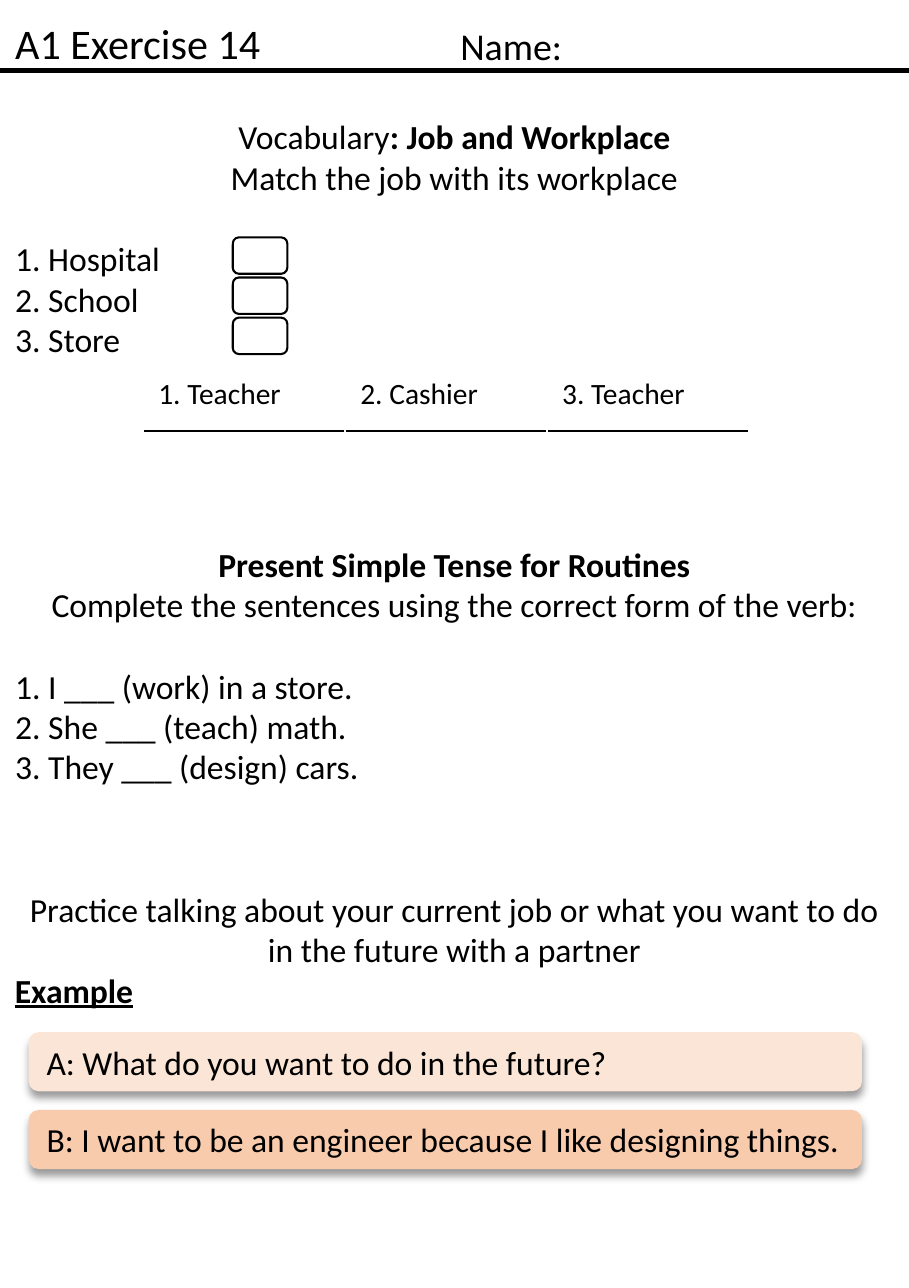
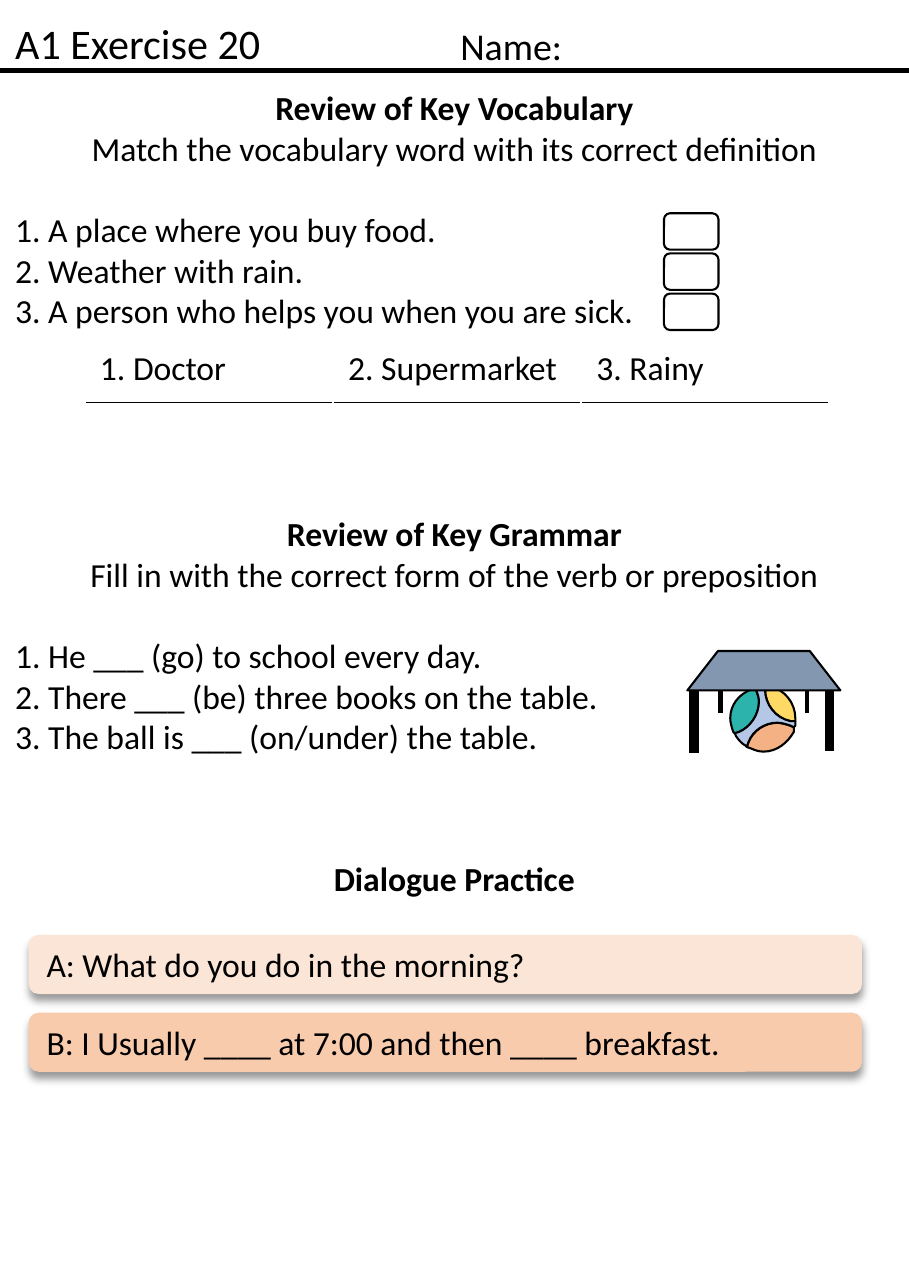
from lxml import etree
from pptx import Presentation
from pptx.dml.color import RGBColor
from pptx.enum.shapes import MSO_CONNECTOR, MSO_SHAPE
from pptx.enum.text import MSO_ANCHOR, MSO_AUTO_SIZE, PP_ALIGN
from pptx.oxml.ns import qn
from pptx.util import Inches, Pt

LEFT, CENTER = PP_ALIGN.LEFT, PP_ALIGN.CENTER
TOP, MIDDLE = MSO_ANCHOR.TOP, MSO_ANCHOR.MIDDLE
FIXED = MSO_AUTO_SIZE.NONE
ROUNDED = MSO_SHAPE.ROUNDED_RECTANGLE
TABLETOP = MSO_SHAPE.FLOWCHART_MANUAL_OPERATION
STRAIGHT = MSO_CONNECTOR.STRAIGHT

COLUMNS, ROWS = 60, 85
CELL = Inches(0.1)
BLACK, WHITE = "000000", "FFFFFF"
PEACH, APRICOT = "FBE5D6", "F8CBAD"
SLATE = "8497B0"
BODY_SIZE = 16
BLANK_LINE = 19.53
BOLD = {"bold": True}
EXAMPLE = {"bold": True, "underline": True}

BALL_PANELS = [
    ("FFD966", (23, 0), [(26, 0), (36, 2, 43, 11, 43, 21), (43, 23), (40, 23),
                         (30, 21, 23, 12, 23, 2)]),
    ("2CB4AC", (16, 1), [(17, 2), (18, 5, 19, 7, 19, 10), (19, 19, 13, 27, 6, 30),
                         (3, 31), (2, 30), (1, 27, 0, 24, 0, 21),
                         (0, 12, 6, 5, 14, 2)]),
    ("F4B183", (31, 24), [(34, 24, 37, 25, 40, 26), (42, 27), (42, 30),
                          (38, 37, 31, 43, 22, 43), (19, 43, 16, 42, 14, 41),
                          (11, 40), (12, 37), (15, 29, 23, 24, 31, 24)]),
    ("B4C7E7", (22, 0), [(23, 0), (23, 2), (23, 12, 30, 21, 40, 23), (43, 23),
                         (43, 26), (42, 27), (40, 26), (37, 25, 34, 24, 31, 24),
                         (23, 24, 15, 29, 12, 37), (11, 40), (10, 39),
                         (8, 38, 6, 36, 4, 33), (3, 31), (6, 30),
                         (13, 27, 19, 19, 19, 10), (19, 7, 18, 5, 17, 2),
                         (16, 1), (18, 0), (19, 0, 20, 0, 22, 0)]),
]

WORKSHEETS = [
    {
        "title": "A1 Exercise 14",
        "vocabulary": (6.95, [("Vocabulary", {}), (": Job and Workplace", BOLD)],
                       "Match the job with its workplace",
                       ["1. Hospital", "2. School", "3. Store"]),
        "answers": (15.37, 15.67),
        "words": ((9.45, 24.37, 40, 4.1), 14,
                  ["1. Teacher", "2. Cashier", "3. Teacher"]),
        "grammar": (35.15, [("Present Simple Tense for Routines", BOLD)],
                    "Complete the sentences using the correct form of the verb:",
                    ["1. I ___ (work) in a store.", "2. She ___ (teach) math.",
                     "3. They ___ (design) cars."]),
        "prompt": ((0, 57.1, COLUMNS, 8.4), 1.56, [
            ([("Practice talking about your current job or what you want to do "
               "in the future with a partner", {})], CENTER, 0),
            ([("Example", EXAMPLE)], LEFT, 0)]),
        "dialogue": (68.12, ["A: What do you want to do in the future?",
                             "B: I want to be an engineer because I like designing things."]),
    },
    {
        "title": "A1 Exercise 20",
        "vocabulary": (5.03, [("Review of Key Vocabulary", BOLD)],
                       "Match the vocabulary word with its correct definition",
                       ["1. A place where you buy food.", "2. Weather with rain.",
                        "3. A person who helps you when you are sick."]),
        "answers": (43.83, 14.08),
        "words": ((5.6, 22.46, 49.15, 4.1), BODY_SIZE,
                  ["1. Doctor", "2. Supermarket", "3. Rainy"]),
        "grammar": (33.15, [("Review of Key Grammar", BOLD)],
                    "Fill in with the correct form of the verb or preposition",
                    ["1. He ___ (go) to school every day.",
                     "2. There ___ (be) three books on the table.",
                     "3. The ball is ___ (on/under) the table."]),
        "prompt": ((0, 55.3, COLUMNS, 5.2), 1.3,
                   [([("Dialogue Practice", BOLD)], CENTER, 0)]),
        "dialogue": (61.7, ["A: What do you do in the morning?",
                            "B: I Usually ____ at 7:00 and then ____ breakfast."]),
    },
]


def color(code):
    return RGBColor.from_string(code)


def grid(*cells):
    return [round(cell * CELL) for cell in cells]


def apply(target, formats):
    for name, value in formats.items():
        setattr(target, name, value)


def move(placeholder, box):
    apply(placeholder, dict(zip(("left", "top", "width", "height"), grid(*box))))
    return placeholder


def write(frame, paragraphs, size=BODY_SIZE, anchor=MIDDLE):
    apply(frame, {"word_wrap": True, "auto_size": FIXED, "vertical_anchor": anchor})
    fill_paragraphs(frame, paragraphs, size)


def fill_paragraphs(frame, paragraphs, size):
    for index, (runs, alignment, before) in enumerate(paragraphs):
        paragraph = frame.add_paragraph() if index else frame.paragraphs[0]
        properties = paragraph._p.get_or_add_pPr()
        properties.set("marL", "0")
        properties.set("indent", "0")
        etree.SubElement(properties, qn("a:buNone"))
        apply(paragraph, {"alignment": alignment, "space_before": Pt(before)})
        for text, formats in runs:
            run = paragraph.add_run()
            run.text = text
            apply(run.font, {"name": "Calibri", "size": Pt(size), "bold": False, **formats})
            run.font.color.rgb = color(BLACK)


def plain(text):
    return [([(text, {})], LEFT, 0)]


def paint(shape, fill, outline=None):
    shape.shadow.inherit = False
    shape.fill.solid()
    shape.fill.fore_color.rgb = color(fill)
    if outline:
        shape.line.color.rgb = color(outline)
        shape.line.width = Pt(1)
    else:
        shape.line.fill.background()
    return shape


def rule(parent, start, end, weight):
    line = parent.shapes.add_connector(STRAIGHT, *grid(*start, *end))
    line.line.color.rgb = color(BLACK)
    line.line.width = Pt(weight)
    etree.SubElement(line._element.spPr, qn("a:effectLst"))


def header(slide, title):
    write(move(slide.shapes.title, (0, 0, COLUMNS, 5.6)).text_frame, plain(title), 20)
    name = slide.shapes.add_textbox(*grid(29.4, 1, 30, 4))
    write(name.text_frame, plain("Name:"), 18, TOP)
    rule(slide, (0, 4.64), (COLUMNS, 4.64), 2.25)


def exercise(placeholder, top, heading, instruction, items):
    paragraphs = [(heading, CENTER, 0), ([(instruction, {})], CENTER, 0)]
    for index, item in enumerate(items):
        paragraphs.append(([(item, {})], LEFT, 0 if index else BLANK_LINE))
    write(move(placeholder, (0, top, COLUMNS, 17.5)).text_frame, paragraphs)


def answer_boxes(slide, left, top, count=3):
    for row in range(count):
        box = grid(left, top + row * 2.65, 3.6, 2.4)
        paint(slide.shapes.add_shape(ROUNDED, *box), WHITE, BLACK)


def border(cell, side, code):
    line = etree.SubElement(cell._tc.get_or_add_tcPr(), qn(f"a:ln{side}"), w=str(Pt(1)))
    fill = etree.SubElement(line, qn("a:solidFill"))
    etree.SubElement(fill, qn("a:srgbClr"), val=code)


def word_bank(slide, box, size, words):
    table = slide.shapes.add_table(1, len(words), *grid(*box)).table
    apply(table, {"first_row": False, "horz_banding": False})
    for cell, word in zip(table.rows[0].cells, words):
        for side, code in zip("LRTB", (WHITE, WHITE, WHITE, BLACK)):
            border(cell, side, code)
        cell.fill.solid()
        cell.fill.fore_color.rgb = color(WHITE)
        fill_paragraphs(cell.text_frame, plain(word), size)


def prompt(slide, box, lead, paragraphs):
    frame = slide.shapes.add_textbox(*grid(*box)).text_frame
    write(frame, paragraphs, anchor=TOP)
    frame.margin_top = round(lead * CELL)


def cast_shadow(shape):
    effects = shape._element.spPr.find(qn("a:effectLst"))
    shadow = etree.SubElement(effects, qn("a:outerShdw"), blurRad=str(Pt(4)),
                              dist=str(Pt(3)), dir="5400000", algn="t", rotWithShape="0")
    tone = etree.SubElement(shadow, qn("a:srgbClr"), val=BLACK)
    etree.SubElement(tone, qn("a:alpha"), val="40000")


def dialogue(slide, top, lines):
    for row, (line, fill) in enumerate(zip(lines, (PEACH, APRICOT))):
        box = grid(1.9, top + row * 5.13, 55, 3.9)
        bubble = paint(slide.shapes.add_shape(ROUNDED, *box), fill)
        cast_shadow(bubble)
        write(bubble.text_frame, plain(line))


def bend(panel, segments):
    edges = list(panel._element.iter(qn("a:lnTo")))
    for edge, segment in zip(edges, segments):
        if len(segment) == 1:
            continue
        curve = etree.Element(qn("a:cubicBezTo"))
        for x, y in segment:
            etree.SubElement(curve, qn("a:pt"), x=str(x - panel.left), y=str(y - panel.top))
        edge.getparent().replace(edge, curve)


def ball(slide, left, top):
    group = slide.shapes.add_group_shape()
    for fill, start, segments in BALL_PANELS:
        first, *edges = [[grid(left + x / 10, top + y / 10)
                          for x, y in zip(values[::2], values[1::2])]
                         for values in (start, *segments)]
        outline = group.shapes.build_freeform(*first[0])
        outline.add_line_segments([edge[-1] for edge in edges], close=True)
        panel = paint(outline.convert_to_shape(), fill, BLACK)
        bend(panel, edges)


def ball_under_table(slide, left, top):
    ball(slide, left + 2.83, top + 2.33)
    for x, y, weight in ((2.2, 0, 2.25), (0.44, 2.6, 4.5), (7.9, 0, 2.25), (9.4, 2.5, 4.5)):
        rule(slide, (left + x, top + y), (left + x, top + y + 4.1), weight)
    tabletop = paint(slide.shapes.add_shape(TABLETOP, *grid(left, top, 10.1, 2.6)),
                     SLATE, BLACK)
    tabletop._element.spPr.xfrm.set("flipV", "1")


def worksheet(deck, content):
    slide = deck.slides.add_slide(deck.slide_layouts[3])
    header(slide, content["title"])
    exercise(slide.placeholders[1], *content["grammar"])
    exercise(slide.placeholders[2], *content["vocabulary"])
    word_bank(slide, *content["words"])
    answer_boxes(slide, *content["answers"])
    prompt(slide, *content["prompt"])
    dialogue(slide, *content["dialogue"])
    return slide


def main():
    deck = Presentation()
    deck.slide_width, deck.slide_height = grid(COLUMNS, ROWS)
    slides = [worksheet(deck, content) for content in WORKSHEETS]
    ball_under_table(slides[1], 45.37, 42.97)
    deck.save("out.pptx")


if __name__ == "__main__":
    main()
